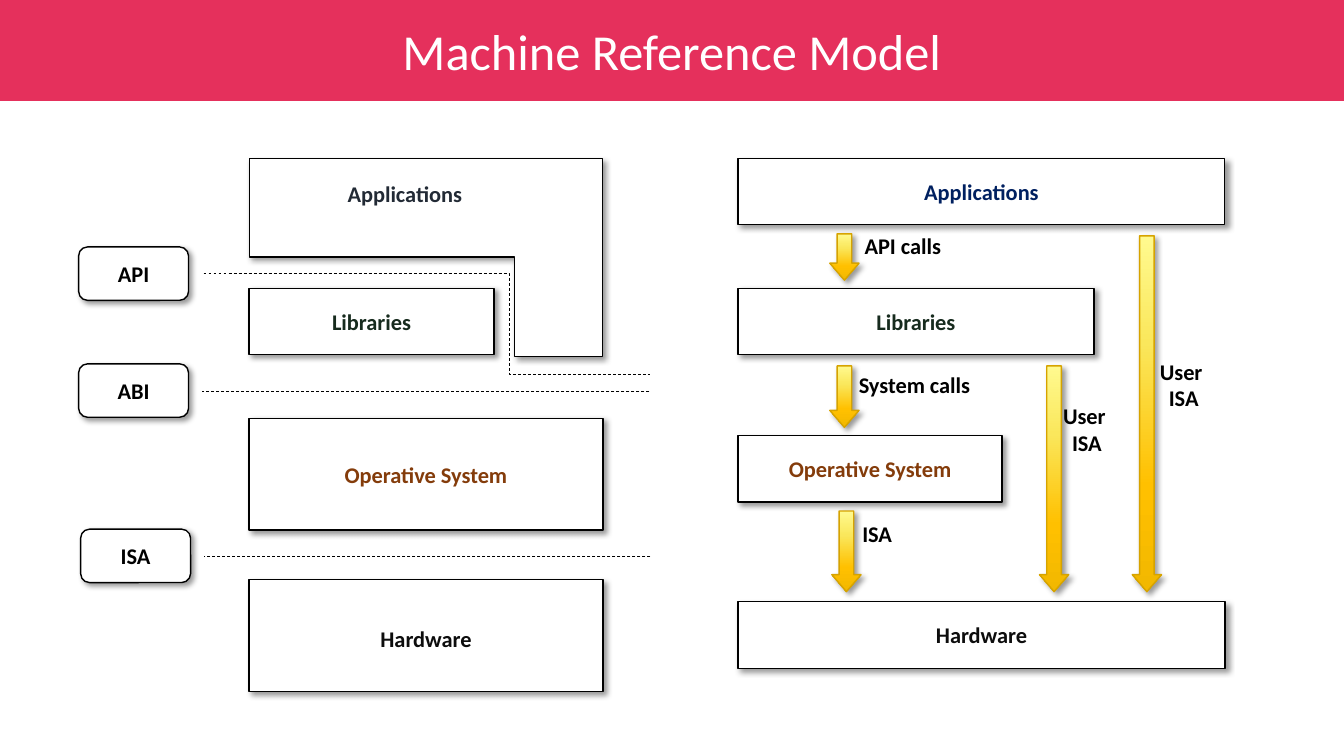
from lxml import etree
from pptx import Presentation
from pptx.dml.color import RGBColor
from pptx.enum.dml import MSO_LINE
from pptx.enum.shapes import MSO_CONNECTOR, MSO_SHAPE
from pptx.enum.text import MSO_ANCHOR, MSO_AUTO_SIZE, PP_ALIGN
from pptx.oxml.ns import qn
from pptx.util import Pt

PX = 9144  # EMU in one px, 100 px to the inch
FONT = "Calibri"
RECTANGLE = MSO_SHAPE.RECTANGLE
ROUNDED = MSO_SHAPE.ROUNDED_RECTANGLE
DOWN_ARROW = MSO_SHAPE.DOWN_ARROW
STRAIGHT = MSO_CONNECTOR.STRAIGHT
ELBOW = MSO_CONNECTOR.ELBOW
DASH = MSO_LINE.DASH
CENTER = PP_ALIGN.CENTER
MIDDLE = MSO_ANCHOR.MIDDLE
TOP = MSO_ANCHOR.TOP
NO_AUTOFIT = MSO_AUTO_SIZE.NONE

COLORS = {
    "band": "E42452",
    "white": "FFFFFF",
    "black": "000000",
    "applications_left": "222A35",
    "applications_right": "002060",
    "libraries": "172B1E",
    "system": "843C0B",
    "hardware": "0D0D0D",
    "arrow_line": "D6A300",
}
ARROW_STOPS = [(0, "FFFA8F"), (30, "FAE75C"), (70, "FFC000"), (100, "F2B800")]


def px(*lengths):
    return [length * PX for length in lengths]


def rgb(name):
    return RGBColor.from_string(COLORS[name])


def add_element(parent, tag, **attributes):
    values = {key: str(value) for key, value in attributes.items()}
    return etree.SubElement(parent, qn(tag), values)


def write_text(shape, text, color="black", size=16, bold=True, anchor=MIDDLE, wrap=True):
    frame = shape.text_frame
    frame.text = text
    frame.word_wrap = wrap
    frame.auto_size = NO_AUTOFIT
    frame.vertical_anchor = anchor
    for paragraph in frame.paragraphs:
        paragraph.alignment = CENTER
        font = paragraph.runs[0].font
        font.name, font.size, font.bold = FONT, Pt(size), bold
        font.color.rgb = rgb(color)


def add_shadow(shape):
    shape.shadow.inherit = False
    effects = shape._element.spPr.find(qn("a:effectLst"))
    shadow = add_element(effects, "a:outerShdw", blurRad=Pt(4), dist=Pt(3),
                         dir=45 * 60000, algn="tl", rotWithShape=0)
    color = add_element(shadow, "a:srgbClr", val=COLORS["black"])
    add_element(color, "a:alpha", val=40000)


def style_box(shape, weight):
    shape.fill.solid()
    shape.fill.fore_color.rgb = rgb("white")
    shape.line.color.rgb = rgb("black")
    shape.line.width = Pt(weight)
    add_shadow(shape)


def add_box(slide, bounds, text, color="black", kind=RECTANGLE, weight=1):
    shape = slide.shapes.add_shape(kind, *px(*bounds))
    style_box(shape, weight)
    write_text(shape, text, color)
    return shape


def add_outline(slide, points, weight):
    builder = slide.shapes.build_freeform(*points[0], scale=PX)
    builder.add_line_segments(points[1:], close=True)
    style_box(builder.convert_to_shape(), weight)


def add_arrow(slide, left, top, height):
    arrow = slide.shapes.add_shape(DOWN_ARROW, *px(left, top, 29, height))
    arrow.adjustments[0], arrow.adjustments[1] = 0.5, 0.58
    arrow.fill.gradient()
    arrow.fill.gradient_angle = 270
    stops = arrow._element.spPr.find(qn("a:gradFill")).find(qn("a:gsLst"))
    stops.clear()
    for position, value in ARROW_STOPS:
        stop = add_element(stops, "a:gs", pos=position * 1000)
        add_element(stop, "a:srgbClr", val=value)
    arrow.line.color.rgb = rgb("arrow_line")
    arrow.line.width = Pt(1)
    add_shadow(arrow)


def add_label(slide, bounds, text, color="black"):
    label = slide.shapes.add_textbox(*px(*bounds))
    write_text(label, text, color, anchor=TOP, wrap=False)


def add_boundary(slide, start, end, kind=STRAIGHT, bend=None):
    connector = slide.shapes.add_connector(kind, *px(*start, *end))
    connector.line.color.rgb = rgb("black")
    connector.line.width = Pt(0.5)
    connector.line.dash_style = DASH
    properties = connector._element.spPr
    add_element(properties, "a:effectLst")
    if bend:
        guides = properties.find(qn("a:prstGeom")).find(qn("a:avLst"))
        add_element(guides, "a:gd", name="adj1", fmla=f"val {bend}")


def add_title_band(slide):
    title = slide.shapes.title
    title.left, title.top, title.width, title.height = px(0, 0, 1333, 100)
    title.fill.solid()
    title.fill.fore_color.rgb = rgb("band")
    color = title._element.spPr.find(qn("a:solidFill")).find(qn("a:srgbClr"))
    add_element(color, "a:alpha", val=94000)
    write_text(title, "Machine Reference Model", "white", size=36, bold=False)


def add_layers(slide):
    # Applications reach past the libraries down to the ABI
    add_outline(slide, [(247, 157), (598, 157), (598, 354),
                        (510, 354), (510, 255), (247, 255)], weight=0.75)
    add_label(slide, (334, 174, 135, 37), "Applications", "applications_left")

    add_box(slide, (247, 286, 243, 66), "Libraries", "libraries")
    add_box(slide, (247, 415, 351, 111), "Operative System", "system")
    hardware = add_box(slide, (247, 575, 351, 111), "Hardware", "hardware")
    hardware.text_frame.margin_top = 10 * PX

    # Interfaces between the layers
    for left, top, name in [(78, 245, "API"), (78, 361, "ABI"), (80, 525, "ISA")]:
        add_box(slide, (left, top, 109, 53), name, kind=ROUNDED)
    add_boundary(slide, (202, 271), (645, 371), ELBOW, bend=68400)
    add_boundary(slide, (644, 388), (200, 388))
    add_boundary(slide, (645, 552), (202, 552))


def add_calls(slide):
    # Layers
    for top, width, name, color, weight in [
        (157, 483, "Applications", "applications_right", 0.75),
        (286, 353, "Libraries", "libraries", 1),
        (432, 262, "Operative System", "system", 1),
        (597, 483, "Hardware", "hardware", 1),
    ]:
        add_box(slide, (732, top, width, 66), name, color, weight=weight)

    # Arrows between the layers
    for left, top, height in [(825, 507, 80), (823, 363, 61), (823, 232, 46),
                              (1031, 363, 224), (1123, 234, 353)]:
        add_arrow(slide, left, top, height)

    # Arrow labels
    for bounds, text in [
        ((847, 225, 97, 37), "API calls"),
        ((841, 363, 132, 37), "System calls"),
        ((845, 511, 50, 37), "ISA"),
        ((1044, 394, 68, 64), "User \nISA"),
        ((1140, 350, 68, 64), "User \nISA"),
    ]:
        add_label(slide, bounds, text)


def main():
    presentation = Presentation()
    presentation.slide_width, presentation.slide_height = px(1333, 750)
    slide = presentation.slides.add_slide(presentation.slide_layouts.get_by_name("Title Only"))
    add_title_band(slide)
    add_layers(slide)
    add_calls(slide)
    presentation.save("out.pptx")


if __name__ == "__main__":
    main()
